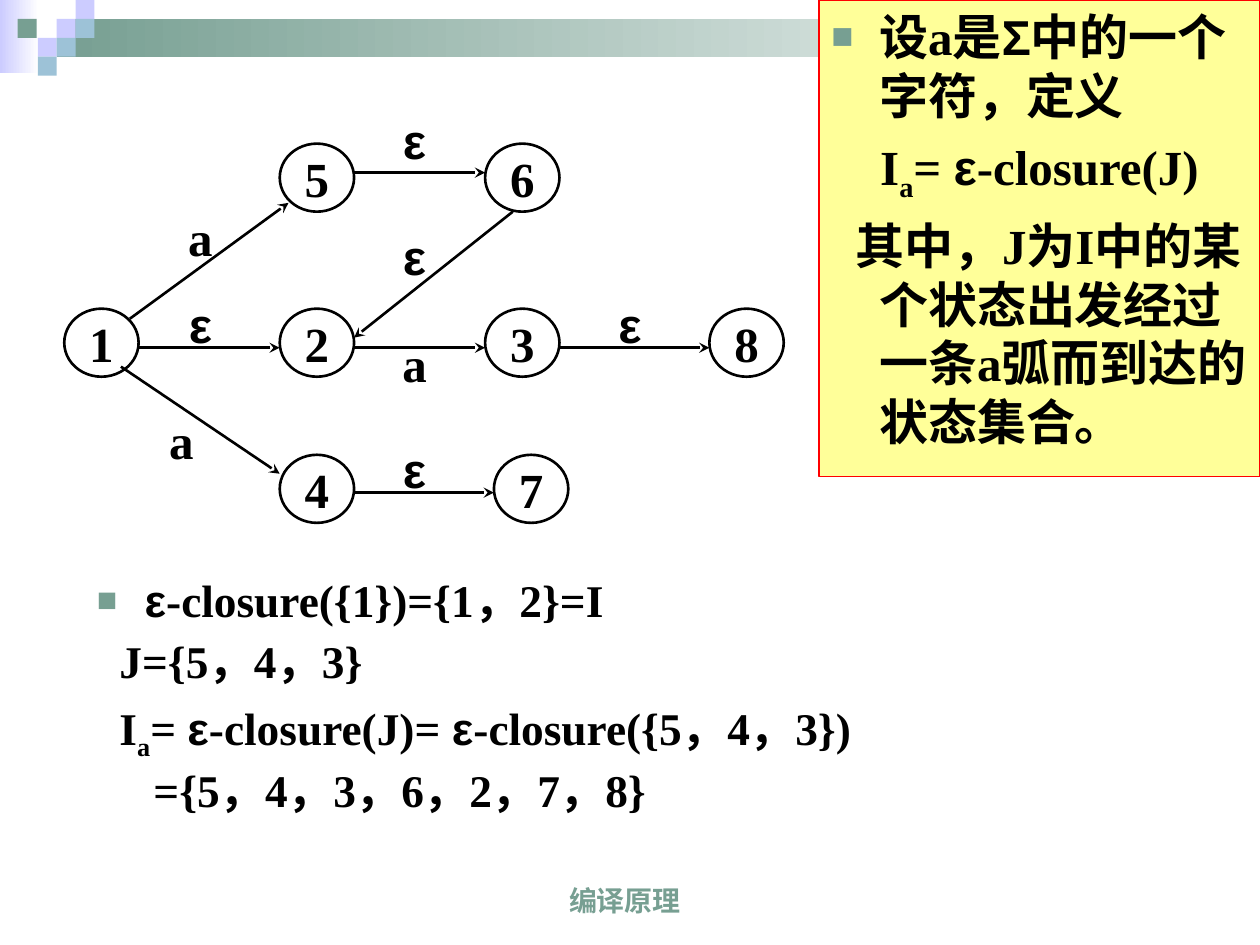
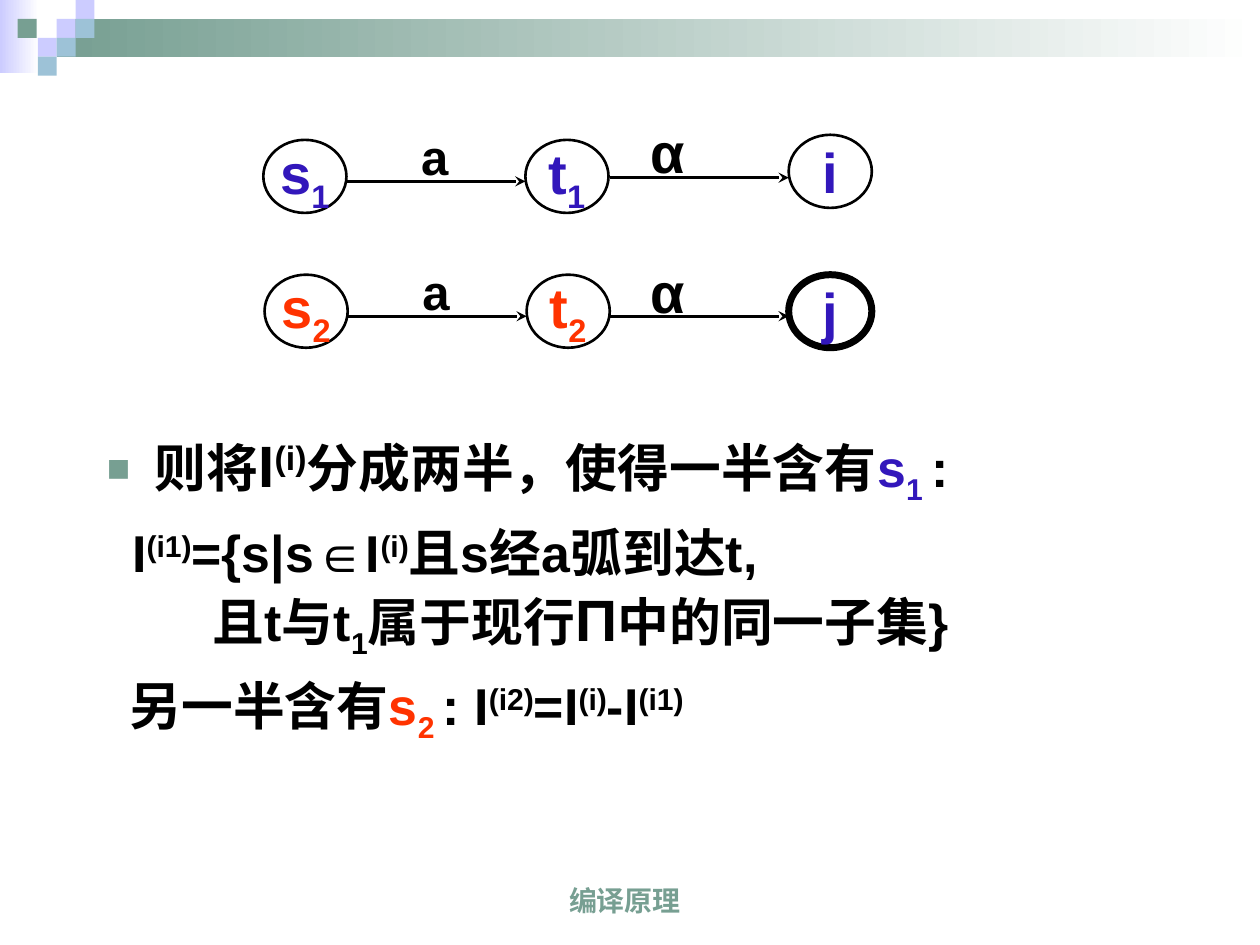
from lxml.etree import SubElement
from pptx import Presentation
from pptx.dml.color import RGBColor
from pptx.enum.shapes import MSO_CONNECTOR as LINK, MSO_SHAPE as SHAPE
from pptx.enum.text import MSO_ANCHOR as ANCHOR, PP_ALIGN as ALIGN
from pptx.oxml.ns import qn
from pptx.util import Emu, Pt

SCALE = 9144  # EMU per px, 100 px to the inch
COLORS = {
    "black": "000000", "white": "FFFFFF", "sage": "779F92", "lilac": "CCCCFF",
    "sky": "9DC2D7", "yellow": "FFFF99", "red": "FF0000",
    "indigo": "3217BB", "orange": "FF3300",
}
SERIF, SANS = "Times New Roman", "Arial"
GREEK = {"face": SANS}
SUB, SUP = {"baseline": -25}, {"baseline": 30}
BULLET = {"margin": 38, "indent": -38, "bullet": True}
EPSILON = ("ε", GREEK)


def px(length):
    return Emu(length * SCALE)


def rgb(name):
    return RGBColor.from_string(COLORS[name])


class Painter:
    """Holds the deck style and draws on the current slide."""

    def __init__(self):
        self.deck = Presentation()
        self.deck.slide_width, self.deck.slide_height = px(1000), px(750)
        self.page = None

    def new_page(self):
        self.page = self.deck.slides.add_slide(self.deck.slide_layouts[6])
        self.background()
        self.text((319, 683, 354, 50), [([("编译原理", {})], {"align": ALIGN.CENTER})],
                  size=16, face=SANS, color="sage", anchor=ANCHOR.BOTTOM)

    def background(self):
        # Fading bands, then the mosaic of small squares
        self.shape((0, 0, 31, 58), fill="lilac", fade=True)
        self.shape((45, 15, 955, 30), fill="sage", fade=True)
        for left, top, color in [(45, 15, "lilac"), (60, 0, "lilac"), (60, 15, "sky"),
                                 (30, 30, "lilac"), (14, 15, "sage"), (45, 30, "sky"),
                                 (30, 45, "sky")]:
            self.shape((left, top, 15, 15), fill=color)

    def shape(self, place, kind=SHAPE.RECTANGLE, fill=None, fade=False,
              line=None, width=1.5):
        box = self.page.shapes.add_shape(kind, *map(px, place))
        box.shadow.inherit = False
        if fade:
            box.fill.gradient()
            box.fill.gradient_angle = 0
            for stop, color in zip(box.fill.gradient_stops, (fill, "white")):
                stop.color.rgb = rgb(color)
        elif fill:
            box.fill.solid()
            box.fill.fore_color.rgb = rgb(fill)
        else:
            box.fill.background()
        if line:
            box.line.color.rgb = rgb(line)
            box.line.width = Pt(width)
        else:
            box.line.fill.background()
        return box

    def text(self, place, paragraphs, **style):
        box = self.page.shapes.add_textbox(*map(px, place))
        self.fill_text(box, paragraphs, **style)

    def fill_text(self, box, paragraphs, size, face, color="black", anchor=ANCHOR.TOP,
                  wrap=True, before=0, spacing=None):
        """Each paragraph is (spans, layout); each span is (text, changes)."""
        frame = box.text_frame
        frame.word_wrap = wrap
        frame.vertical_anchor = anchor
        for number, (spans, layout) in enumerate(paragraphs):
            para = frame.add_paragraph() if number else frame.paragraphs[0]
            self.lay_out(para, **layout)
            if number:
                para.space_before = Pt(layout.get("before", before))
            if spacing:
                para.line_spacing = spacing
            for words, changes in spans:
                span = para.add_run()
                span.text = words
                span.font.bold = True
                span.font.size = Pt(changes.get("size", size))
                span.font.name = changes.get("face", face)
                span.font.color.rgb = rgb(changes.get("color", color))
                if "baseline" in changes:
                    properties = span._r.get_or_add_rPr()
                    properties.set("baseline", str(changes["baseline"] * 1000))

    def lay_out(self, para, align=ALIGN.LEFT, margin=0, indent=0, bullet=False, before=0):
        para.alignment = align
        properties = para._p.get_or_add_pPr()
        properties.set("marL", str(px(margin)))
        properties.set("indent", str(px(indent)))
        if bullet:
            color = SubElement(properties, qn("a:buClr"))
            SubElement(color, qn("a:srgbClr"), val=COLORS["sage"])
            SubElement(properties, qn("a:buSzPct"), val="75000")
            SubElement(properties, qn("a:buFont"), typeface=SANS)
            SubElement(properties, qn("a:buChar"), char="■")

    def label(self, place, words, size=28, face=SERIF):
        self.text(place, [([(words, {})], {"align": ALIGN.CENTER})],
                  size=size, face=face, anchor=ANCHOR.MIDDLE, wrap=False)

    def state(self, place, spans, size=28, face=SERIF, color="black", width=1.5):
        circle = self.shape(place, SHAPE.OVAL, line="black", width=width)
        self.fill_text(circle, [(spans, {"align": ALIGN.CENTER})], size=size, face=face,
                       color=color, anchor=ANCHOR.MIDDLE, wrap=False)

    def arrow(self, start, end):
        link = self.page.shapes.add_connector(LINK.STRAIGHT, *map(px, start + end))
        link.line.color.rgb = rgb("black")
        link.line.width = Pt(1.5)
        properties = link._element.spPr
        SubElement(properties.find(qn("a:ln")), qn("a:tailEnd"), type="stealth")
        SubElement(properties, qn("a:effectLst"))


def closure_page(painter):
    painter.new_page()

    # Worked example
    painter.text((67, 454, 886, 225), [
        ([EPSILON, ("-closure({1})={1，2}=I", {})], BULLET),
        ([("J={5，4，3}", {})], {"margin": 38, "indent": -20}),
        ([("I", {}), ("a", SUB), ("= ", {}), EPSILON, ("-closure(J)= ", {}),
          EPSILON, ("-closure({5，4，3})", {})], {"margin": 38, "indent": -20}),
        ([("={5，4，3，6，2，7，8}", {})], {"margin": 45}),
    ], size=25.9, face=SERIF, before=7, spacing=0.9)

    # States of the automaton
    wide, high = 59, 54
    states = {"5": (222, 114), "6": (385, 114), "1": (51, 245), "2": (222, 245),
              "3": (385, 245), "8": (563, 245), "4": (222, 361), "7": (392, 361)}
    for name, (left, top) in states.items():
        painter.state((left, top, wide, high), [(name, {})])

    # Moves along a row, then the slanted ones
    for source, target, y in [("5", "6", 137), ("1", "2", 276), ("2", "3", 276),
                              ("3", "8", 276), ("4", "7", 391)]:
        painter.arrow((states[source][0] + wide, y), (states[target][0], y))
    for start, end in [((103, 253), (229, 161)), ((407, 168), (281, 268)),
                       ((96, 291), (222, 376))]:
        painter.arrow(start, end)

    for words, left, top in [("a", 288, 261), ("a", 103, 322), ("a", 118, 161),
                             ("ε", 118, 230), ("ε", 459, 230), ("ε", 288, 176),
                             ("ε", 288, 84), ("ε", 288, 345)]:
        painter.label((left, top, 82, high), words, face=SANS if words == "ε" else SERIF)

    # Definition panel
    panel = painter.shape((650, 0, 350, 378), fill="yellow", line="red", width=0.75)
    painter.fill_text(panel, [
        ([("设a是", {}), ("Σ", GREEK), ("中的一个字符，定义", {})], BULLET),
        ([("I", {}), ("a", SUB), ("= ", {}), EPSILON, ("-closure(J)", {})],
         {"align": ALIGN.CENTER, "margin": 38, "indent": -38}),
        ([("其中，J为I中的某个状态出发经过一条a弧而到达的状态集合。", {})],
         {"margin": 38, "indent": -19}),
    ], size=28, face=SERIF, before=7)


def split_page(painter):
    painter.new_page()
    first, second = {"color": "indigo"}, {"color": "orange"}

    # How the set is split
    painter.text((75, 336, 875, 269), [
        ([("则将", {}), ("I", {"size": 33.3}), ("(i)", {"size": 33.3, **SUP}),
          ("分成两半，使得一半含有", {}), ("s", first), ("1 ", {**first, **SUB}),
          (":", {})], BULLET),
        ([("I", {}), ("(i1)", SUP), ("={s|s∈I", {}), ("(i)", SUP),
          ("且s经a弧到达t,", {})], {"margin": 38, "indent": -18}),
        ([("且t与t", {}), ("1", SUB), ("属于现行", {}), ("Π", {"size": 33.3}),
          ("中的同一子集}", {})], {"margin": 84, "before": 0}),
        ([("另一半含有", {}), ("s", second), ("2 ", {**second, **SUB}), (": I", {}),
          ("(i2)", SUP), ("=I", {}), ("(i)", SUP), ("-I", {}), ("(i1)", SUP)],
         {"margin": 38, "indent": -20}),
    ], size=29.6, face=SANS, before=8)

    # Two chains of states
    wide, high, step = 66, 58, 208
    for index, left, top, color, last, last_top, width, moves in [
            ("1", 209, 111, "indigo", "i", 107, 1.5, (144, 141)),
            ("2", 210, 218, "orange", "j", 218, 4, (251, 251))]:
        for column, letter in enumerate("st"):
            painter.state((left + column * step, top, wide, high),
                          [(letter, {}), (index, SUB)], 32, SANS, color)
        painter.state((626, last_top, wide, high), [(last, {})], 32, SANS, "indigo", width)
        painter.arrow((left + wide, moves[0]), (left + step, moves[0]))
        painter.arrow((484, moves[1]), (626, moves[1]))
        painter.label((left + 90, top - 16, 92, high), "a", face=SANS)
        painter.label((484, last_top - 16, 92, high), "α", size=32, face=SANS)


def main():
    painter = Painter()
    closure_page(painter)
    split_page(painter)
    painter.deck.save("out.pptx")


if __name__ == "__main__":
    main()
